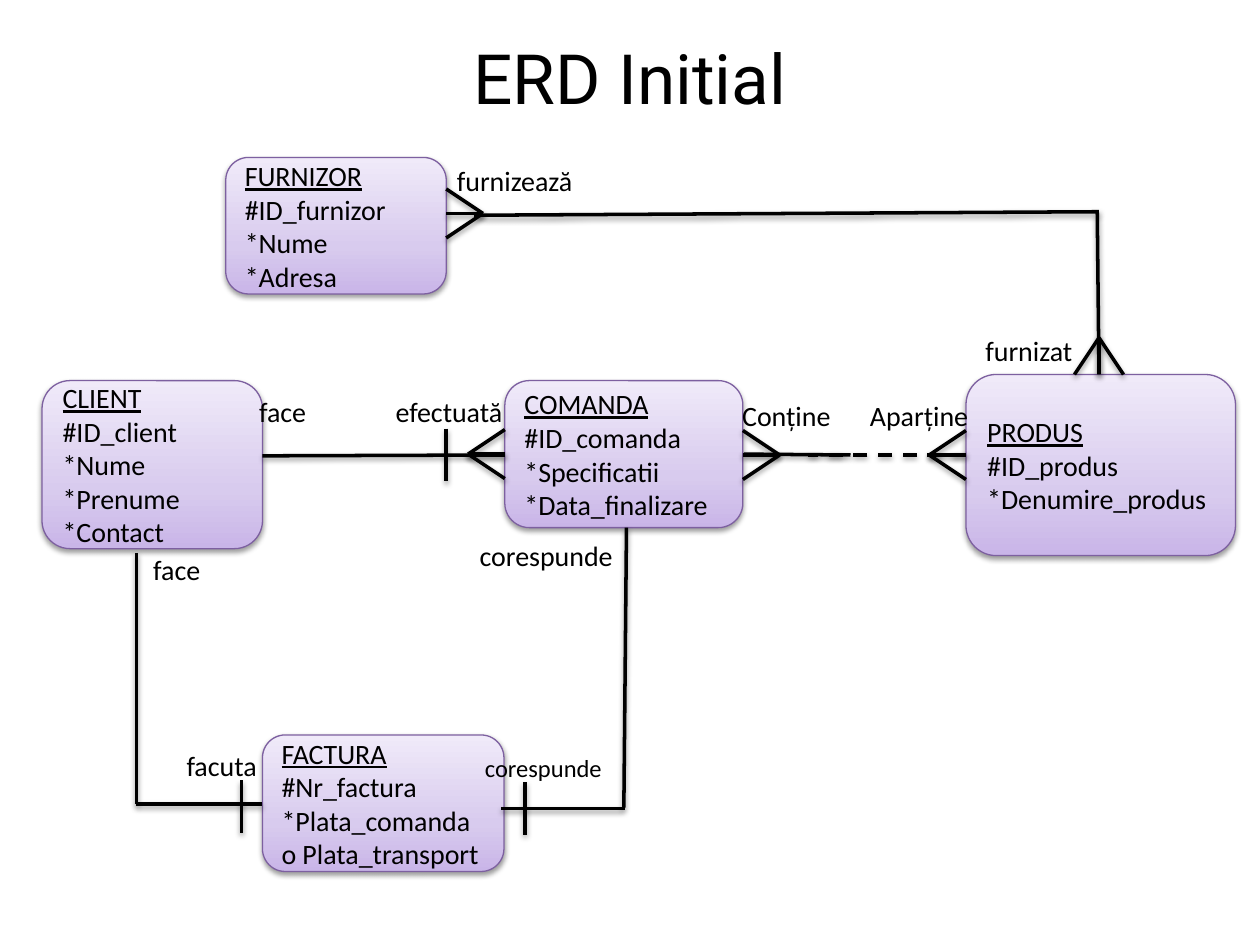
from copy import deepcopy

from lxml.etree import SubElement
from pptx import Presentation
from pptx.dml.color import RGBColor
from pptx.enum.dml import MSO_LINE
from pptx.enum.shapes import MSO_CONNECTOR, MSO_SHAPE
from pptx.enum.text import MSO_ANCHOR, MSO_AUTO_SIZE, PP_ALIGN
from pptx.oxml.ns import qn
from pptx.util import Pt

BLACK = "000000"
BORDER = "7D60A0"
GRADIENT = [(0, "C9B5E8"), (0.35, "D8CBEE"), (1, "F0EAF9")]
FOOT_LENGTH, FOOT_SPREAD, BAR_REACH = 21, 14, 15

ENTITIES = {
    "CLIENT": ((24, 217.5, 126, 96), ["#ID_client", "*Nume", "*Prenume", "*Contact"]),
    "FACTURA": ((150, 420, 138, 78), ["#Nr_factura", "*Plata_comanda", "o Plata_transport"]),
    "PRODUS": ((552, 214, 154, 103.5), ["#ID_produs", "*Denumire_produs"]),
    "COMANDA": ((288.5, 217.5, 136, 84), ["#ID_comanda", "*Specificatii", "*Data_finalizare"]),
    "FURNIZOR": ((129, 90, 126, 78), ["#ID_furnizor", "*Nume", "*Adresa"]),
}
RELATIONS = [
    (150, 260.5, 288.5, 260),
    (271, 123, 628, 121),
    (425, 259.5, 486, 260),
    (286.5, 462, 357, 462),
    (78, 459.5, 150, 459.5),
    (627, 121.5, 628, 214),
    (358, 301.5, 356.5, 461.5),
    (78, 316, 78, 459.5),
]
BARS = [(255, 260), (300, 462), (138, 461)]
CROW_FEET = [
    ("PRODUS", "top", 76),
    ("PRODUS", "left", 46),
    ("FURNIZOR", "right", 32),
    ("COMANDA", "right", 42.5),
    ("COMANDA", "left", 42),
]
LABELS = [
    ("face", (141, 222, 66, 27), 16),
    ("efectuată", (219, 222, 78.5, 27), 16),
    ("face", (80.5, 312, 69, 27), 16),
    ("facuta", (99.5, 424, 59, 27), 16),
    ("corespunde", (267, 304, 98, 27), 16),
    ("corespunde", (270, 427, 86.5, 24), 14),
    ("furnizează", (254, 90, 125, 27), 16),
    ("furnizat", (556, 187, 79, 27), 16),
    ("Conține", (417, 224, 73.5, 27), 16),
    ("Aparține", (490, 224, 84, 27), 16),
]


def color(value):
    """Turn a hex string into a colour."""
    return RGBColor.from_string(value)


def add_shadow(item):
    """Give a shape or connector the soft downward shadow."""
    effects = SubElement(item._element.spPr, qn("a:effectLst"))
    shadow = SubElement(effects, qn("a:outerShdw"), blurRad=str(Pt(3.1)),
                        dist=str(Pt(1.6)), dir="5400000", rotWithShape="0")
    tone = SubElement(shadow, qn("a:srgbClr"), val=BLACK)
    SubElement(tone, qn("a:alpha"), val="38000")


def format_text(paragraph, size, name="Calibri"):
    """Format every run of a paragraph."""
    for span in paragraph.runs:
        span.font.size = Pt(size)
        span.font.name = name
        span.font.color.rgb = color(BLACK)


def fill_gradient(shape):
    """Fill a shape with the three-stop gradient, darkest at the bottom."""
    shape.fill.gradient()
    shape.fill.gradient_angle = 90
    stop_list = shape._element.spPr.find(".//" + qn("a:gsLst"))
    stop_list.insert(1, deepcopy(stop_list[0]))
    for stop, (position, value) in zip(shape.fill.gradient_stops, GRADIENT):
        stop.position = position
        stop.color.rgb = color(value)


def add_title(page, box, text):
    """Place the slide title."""
    title = page.shapes.title
    title.left, title.top, title.width, title.height = map(Pt, box)
    frame = title.text_frame
    frame.text = text
    frame.vertical_anchor = MSO_ANCHOR.MIDDLE
    frame.paragraphs[0].alignment = PP_ALIGN.CENTER
    format_text(frame.paragraphs[0], 39.6, "Roboto")


def add_entity(page, box, name, attributes):
    """Draw an entity with its underlined name above its attributes."""
    entity = page.shapes.add_shape(MSO_SHAPE.ROUNDED_RECTANGLE, *map(Pt, box))
    fill_gradient(entity)
    entity.line.color.rgb = color(BORDER)
    entity.line.width = Pt(0.75)
    add_shadow(entity)
    frame = entity.text_frame
    frame.word_wrap = True
    frame.vertical_anchor = MSO_ANCHOR.MIDDLE
    frame.text = "\n".join([name, *attributes])
    for paragraph in frame.paragraphs:
        paragraph.alignment = PP_ALIGN.LEFT
        format_text(paragraph, 16)
    frame.paragraphs[0].runs[0].font.underline = True


def add_line(page, ends, dashed=False):
    """Draw a straight relation line."""
    line = page.shapes.add_connector(MSO_CONNECTOR.STRAIGHT, *map(Pt, ends))
    line.line.color.rgb = color(BLACK)
    line.line.width = Pt(2)
    if dashed:
        line.line.dash_style = MSO_LINE.DASH
    add_shadow(line)


def add_crow_foot(page, box, side, offset):
    """Draw a crow's foot at an offset along one side of an entity."""
    left, top, width, height = box
    for spread in (0, -FOOT_SPREAD, FOOT_SPREAD):
        if side == "top":
            x = left + offset
            ends = (x, top - FOOT_LENGTH, x + spread, top)
        else:
            y = top + offset
            edge, direction = (left, -1) if side == "left" else (left + width, 1)
            ends = (edge + direction * FOOT_LENGTH, y, edge, y + spread)
        add_line(page, ends)


def add_label(page, box, text, size):
    """Write the role of a relation."""
    frame = page.shapes.add_textbox(*map(Pt, box)).text_frame
    frame.word_wrap = True
    frame.auto_size = MSO_AUTO_SIZE.SHAPE_TO_FIT_TEXT
    frame.text = text
    format_text(frame.paragraphs[0], size)


def add_diagram(page):
    """Draw the entities, their relations and the role labels."""
    for name, (box, attributes) in ENTITIES.items():
        add_entity(page, box, name, attributes)
    for ends in RELATIONS:
        add_line(page, ends)
    add_line(page, (552, 260, 462, 260), dashed=True)
    for x, y in BARS:
        add_line(page, (x, y - BAR_REACH, x, y + BAR_REACH))
    for name, side, offset in CROW_FEET:
        add_crow_foot(page, ENTITIES[name][0], side, offset)
    for text, box, size in LABELS:
        add_label(page, box, text, size)


def main():
    """Build and save the deck."""
    deck = Presentation()
    deck.slide_width, deck.slide_height = Pt(720), Pt(540)
    page = deck.slides.add_slide(deck.slide_layouts[5])
    add_title(page, (36, 21.6, 648, 45), "ERD Initial")
    add_diagram(page)
    deck.save("out.pptx")


if __name__ == "__main__":
    main()
